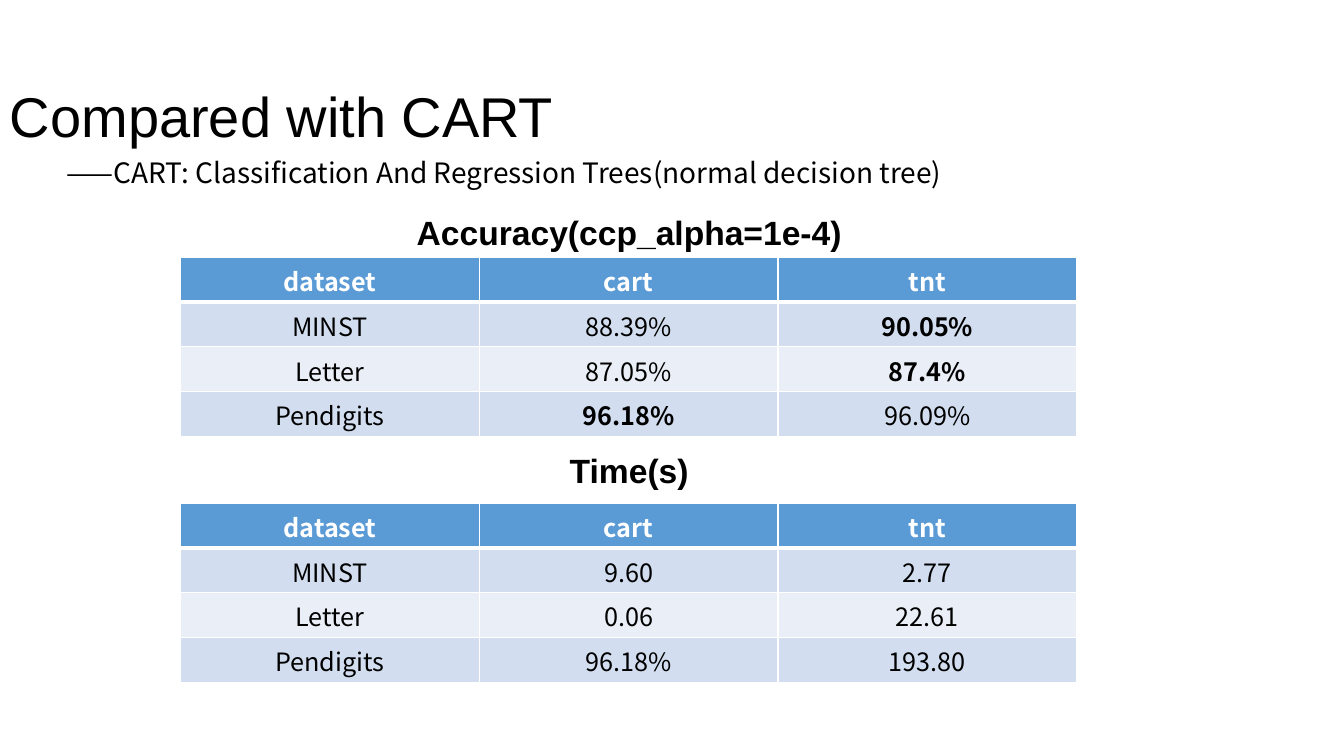
from lxml import etree
from pptx import Presentation
from pptx.dml.color import RGBColor
from pptx.enum.text import MSO_ANCHOR, PP_ALIGN
from pptx.oxml.ns import qn
from pptx.util import Inches, Pt

LEFT, CENTER = PP_ALIGN.LEFT, PP_ALIGN.CENTER
TOP, BOTTOM = MSO_ANCHOR.TOP, MSO_ANCHOR.BOTTOM
BLACK = RGBColor(0x00, 0x00, 0x00)
WHITE = RGBColor(0xFF, 0xFF, 0xFF)
HEADER_BLUE = RGBColor(0x5B, 0x9B, 0xD5)
BAND_DARK = RGBColor(0xD2, 0xDE, 0xEF)
BAND_LIGHT = RGBColor(0xEA, 0xEF, 0xF7)
HEADING_FONT, BODY_FONT = "Arial", "Noto Sans CJK SC"

TITLE = "Compared with CART"
SUBTITLE = "——CART: Classification And Regression Trees(normal decision tree)"
HEADER = ("dataset", "cart", "tnt")
RESULTS = [
    {
        "caption": "Accuracy(ccp_alpha=1e-4)",
        "caption_top": 2.05,
        "table_top": 2.55,
        "rows": [
            ("MINST", "88.39%", "90.05%"),
            ("Letter", "87.05%", "87.4%"),
            ("Pendigits", "96.18%", "96.09%"),
        ],
        "best": {(1, 2), (2, 2), (3, 1)},
    },
    {
        "caption": "Time(s)",
        "caption_top": 4.41,
        "table_top": 4.99,
        "rows": [
            ("MINST", "9.60", "2.77"),
            ("Letter", "0.06", "22.61"),
            ("Pendigits", "96.18%", "193.80"),
        ],
        "best": set(),
    },
]
TABLE_LEFT, TABLE_WIDTH, TABLE_HEIGHT = 1.79, 8.89, 1.78


def write(frame, text, size, font, color=BLACK, bold=False, align=CENTER):
    paragraph = frame.paragraphs[0]
    paragraph.text = text
    paragraph.alignment = align
    run = paragraph.runs[0]
    run.font.size = Pt(size)
    run.font.name = font
    run.font.color.rgb = color
    run.font.bold = bold
    etree.SubElement(run.font._element, qn("a:ea"), typeface=font)
    return paragraph


def add_text(slide, box, text, size, font, bold=False, align=CENTER, anchor=TOP):
    frame = slide.shapes.add_textbox(*map(Inches, box)).text_frame
    frame.word_wrap = True
    frame.vertical_anchor = anchor
    return write(frame, text, size, font, bold=bold, align=align)


def add_borders(cell, row):
    widths = {"L": 1, "R": 1, "T": 3 if row == 1 else 1, "B": 3 if row == 0 else 1}
    properties = cell._tc.get_or_add_tcPr()
    for side, width in widths.items():
        line = etree.SubElement(properties, qn(f"a:ln{side}"), w=str(Pt(width)))
        fill = etree.SubElement(line, qn("a:solidFill"))
        etree.SubElement(fill, qn("a:srgbClr"), val=str(WHITE))


def add_results(slide, result):
    add_text(slide, (4, result["caption_top"], 4.48, 0.5),
             result["caption"], 24, HEADING_FONT, bold=True)
    rows = [HEADER, *result["rows"]]
    box = (TABLE_LEFT, result["table_top"], TABLE_WIDTH, TABLE_HEIGHT)
    table = slide.shapes.add_table(len(rows), len(HEADER), *map(Inches, box)).table
    for r, values in enumerate(rows):
        is_header = r == 0
        band = HEADER_BLUE if is_header else BAND_DARK if r % 2 else BAND_LIGHT
        for c, value in enumerate(values):
            cell = table.cell(r, c)
            add_borders(cell, r)
            cell.fill.solid()
            cell.fill.fore_color.rgb = band
            write(cell.text_frame, value, 18, BODY_FONT,
                  color=WHITE if is_header else BLACK,
                  bold=is_header or (r, c) in result["best"])


def main():
    deck = Presentation()
    deck.slide_width, deck.slide_height = Inches(13.33), Inches(7.5)
    slide = deck.slides.add_slide(deck.slide_layouts[6])
    title = add_text(slide, (0, 0.63, 5.68, 0.9), TITLE, 40, HEADING_FONT,
                     align=LEFT, anchor=BOTTOM)
    title.line_spacing = 0.9
    subtitle = add_text(slide, (0, 1.53, 10, 1.81), SUBTITLE, 20, BODY_FONT)
    subtitle.line_spacing = 0.9
    subtitle.space_before = Pt(10)
    for result in RESULTS:
        add_results(slide, result)
    deck.save("out.pptx")


if __name__ == "__main__":
    main()
